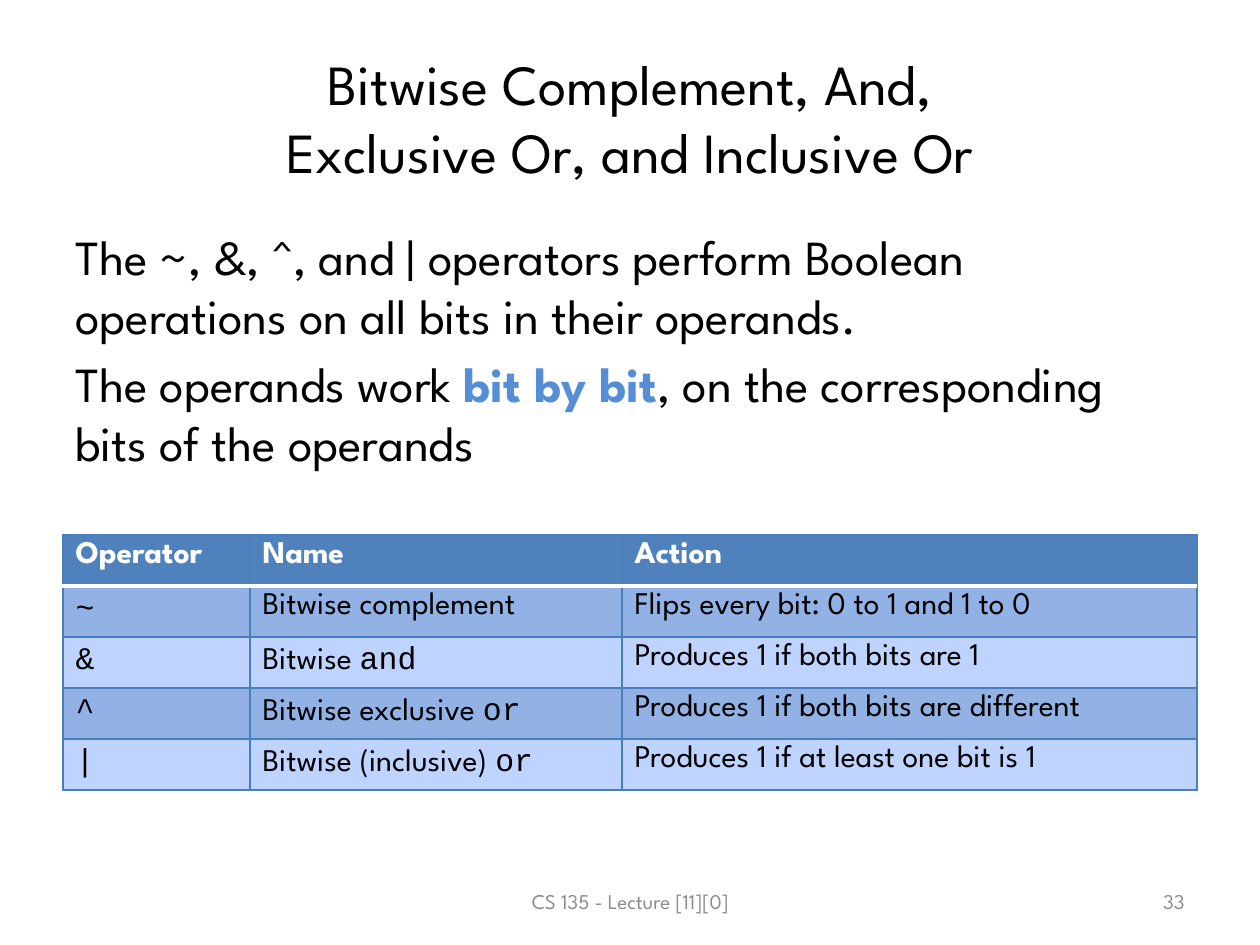
import pptx
import pptx.util
import pptx.dml.color
import pptx.enum.text
import pptx.oxml
import pptx.oxml.ns

SANS, MONO = "League Spartan", "Courier New"
BLACK, WHITE, GREY = "000000", "FFFFFF", "8C8C8C"
HEADER, BORDER, ACCENT = "4F81BD", "4B7EBC", "558ED5"
BANDS = ["92B2E5", "BFD3FF"]
ALIGN = pptx.enum.text.PP_ALIGN
ANCHOR = pptx.enum.text.MSO_ANCHOR


def px(n):
    return pptx.util.Emu(round(n * 914400 / 126))


def rgb(value):
    return pptx.dml.color.RGBColor.from_string(value)


def add_run(p, text, size, color=BLACK, bold=False, font=SANS):
    r = p.add_run()
    r.text = text
    r.font.name, r.font.size, r.font.bold = font, pptx.util.Pt(size), bold
    r.font.color.rgb = rgb(color)


def add_text(s, box, paragraphs, size, color=BLACK, align=ALIGN.LEFT,
             anchor=ANCHOR.MIDDLE, before=0):
    """Each paragraph is a list of (text, color, bold) runs; None breaks the line."""
    tf = s.shapes.add_textbox(*map(px, box)).text_frame
    tf.word_wrap, tf.vertical_anchor = True, anchor
    for i, runs in enumerate(paragraphs):
        p = tf.paragraphs[0] if i == 0 else tf.add_paragraph()
        p.alignment, p.space_before = align, pptx.util.Pt(before)
        for run in runs:
            if run is None:
                p.add_line_break()
            else:
                text, tint, bold = run
                add_run(p, text, size, tint or color, bold)


def plain(text):
    return (text, None, False)


def set_borders(cell, bottom, bottom_width, top, top_width):
    tcPr = cell._tc.get_or_add_tcPr()
    sides = [("L", BORDER, 0.75), ("R", BORDER, 0.75),
             ("T", top, top_width), ("B", bottom, bottom_width)]
    for i, (side, color, width) in enumerate(sides):
        tcPr.insert(i, pptx.oxml.parse_xml(
            f'<a:ln{side} {pptx.oxml.ns.nsdecls("a")} w="{pptx.util.Pt(width)}">'
            f'<a:solidFill><a:srgbClr val="{color}"/></a:solidFill></a:ln{side}>'))


def add_table(s, left, top, widths, row_height, rows):
    """Each cell is a list of (text, font) runs; the first row is the header."""
    table = s.shapes.add_table(len(rows), len(widths), px(left), px(top),
                               px(sum(widths)), px(row_height * len(rows))).table
    for col, width in zip(table.columns, widths):
        col.width = px(width)
    thin, rule = (BORDER, 0.75), (WHITE, 2)
    for i, row in enumerate(rows):
        table.rows[i].height = px(row_height)
        head = i == 0
        for j, runs in enumerate(row):
            cell = table.cell(i, j)
            cell.fill.solid()
            cell.fill.fore_color.rgb = rgb(HEADER if head else BANDS[(i - 1) % 2])
            set_borders(cell, *(rule if head else thin), *(rule if i == 1 else thin))
            for text, font in runs:
                add_run(cell.text_frame.paragraphs[0], text, 18,
                        WHITE if head else BLACK, head, font)


def main():
    prs = pptx.Presentation()
    prs.slide_width, prs.slide_height = px(1260), px(945)
    s = prs.slides.add_slide(prs.slide_layouts[6])

    # Title
    add_text(s, (63, 38, 1134, 157),
             [[plain("Bitwise Complement, And,"), None,
               plain("Exclusive Or, and Inclusive Or")]],
             32.4, align=ALIGN.CENTER)

    # Body
    add_text(s, (63, 220, 1134, 624),
             [[plain("The ~, &, ^, and | operators perform Boolean operations "
                     "on all bits in their operands.")],
              [plain("The operands work "), ("bit by bit", ACCENT, True),
               plain(", on the corresponding bits of the operands")]],
             28, anchor=ANCHOR.TOP, before=5.6)

    # Operator table
    operators = [
        ("~", [("Bitwise complement", SANS)], "Flips every bit: 0 to 1 and 1 to 0"),
        ("&", [("Bitwise ", SANS), ("and", MONO)], "Produces 1 if both bits are 1"),
        ("^", [("Bitwise exclusive ", SANS), ("or", MONO)],
         "Produces 1 if both bits are different"),
        ("|", [("Bitwise (inclusive) ", SANS), ("or", MONO)],
         "Produces 1 if at least one bit is 1"),
    ]
    rows = [[[(name, SANS)] for name in ("Operator", "Name", "Action")]]
    rows += [[[(symbol, MONO)], name, [(action, SANS)]]
             for symbol, name, action in operators]
    add_table(s, 63, 535, [187, 372, 575], 51, rows)

    # Footer and page number
    add_text(s, (431, 876, 399, 50), [[plain("CS 135 - Lecture [11][0]")]],
             12, GREY, ALIGN.CENTER)
    add_text(s, (903, 876, 294, 50), [[plain("33")]], 12, GREY, ALIGN.RIGHT)

    prs.save("out.pptx")


main()
